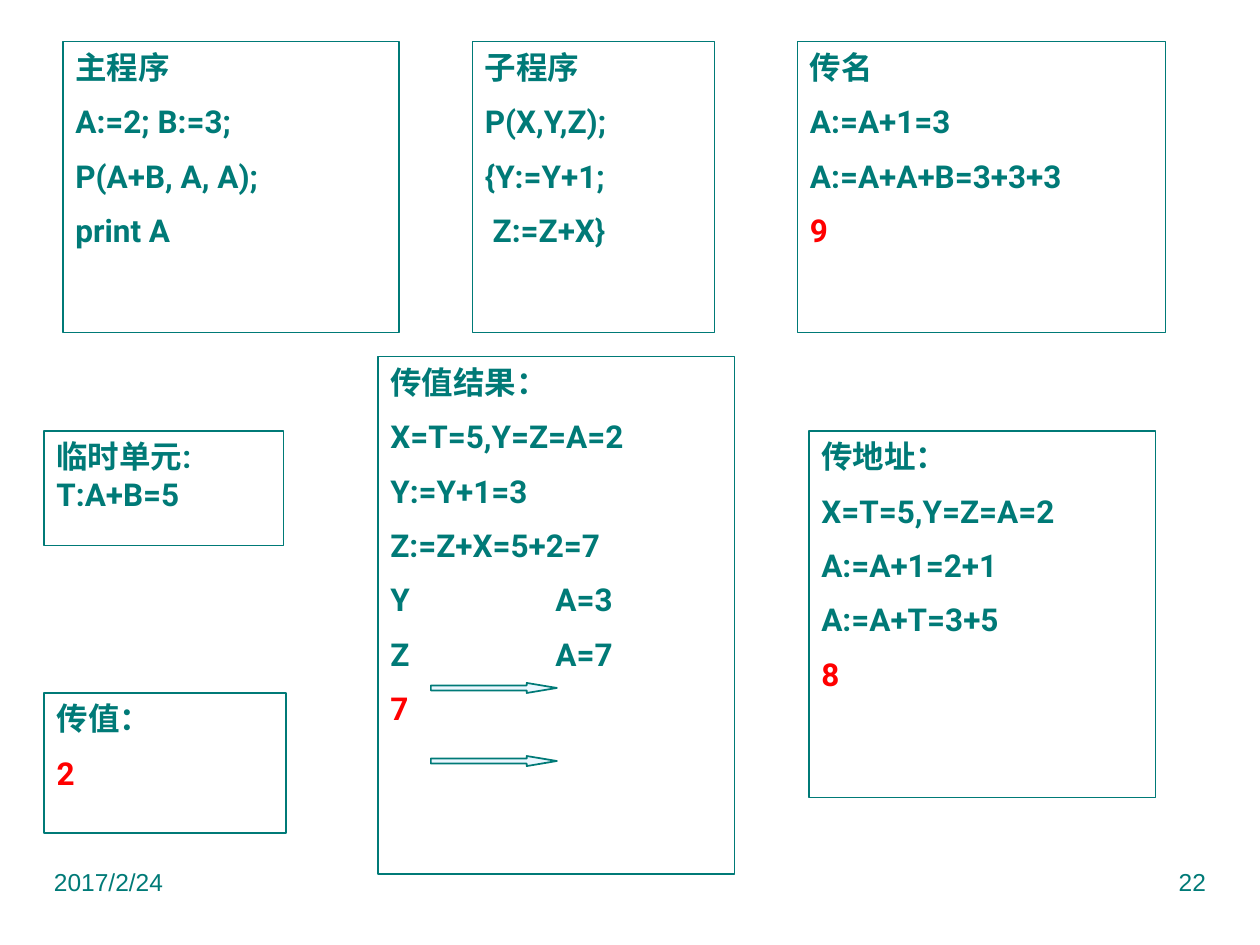
from dataclasses import dataclass

from lxml.etree import SubElement
from pptx import Presentation
from pptx.dml.color import RGBColor
from pptx.enum.shapes import MSO_SHAPE
from pptx.enum.text import MSO_ANCHOR, PP_ALIGN
from pptx.oxml.ns import qn
from pptx.util import Inches, Pt

TEAL = "007A77"
RED = "FF0000"
PALE = "EBF7FF"
TAB_STOP = Inches(1.31)


@dataclass
class Panel:
    """A framed block of code lines with an optional printed result in red."""
    left: float
    top: float
    width: float
    height: float
    lines: list[str]
    result: str = ""


PANELS = [
    Panel(3.75, 0.33, 1.92, 2.31, ["子程序", "P(X,Y,Z);", "{Y:=Y+1;", " Z:=Z+X}"]),
    Panel(0.35, 5.5, 1.92, 1.11, ["传值："], "2"),
    Panel(6.42, 3.42, 2.75, 2.91,
          ["传地址：", "X=T=5,Y=Z=A=2", "A:=A+1=2+1", "A:=A+T=3+5"], "8"),
    Panel(3, 2.83, 2.83, 4.11,
          ["传值结果：", "X=T=5,Y=Z=A=2", "Y:=Y+1=3", "Z:=Z+X=5+2=7",
           "Y\tA=3", "Z\tA=7"], "7"),
    Panel(6.33, 0.33, 2.92, 2.31, ["传名", "A:=A+1=3", "A:=A+A+B=3+3+3"], "9"),
    Panel(0.5, 0.33, 2.67, 2.31,
          ["主程序", "A:=2; B:=3;", "P(A+B, A, A);", "print A"]),
    Panel(0.35, 3.42, 1.9, 0.91, ["临时单元: T:A+B=5"]),
]


def rgb(value: str) -> RGBColor:
    """Turn a hex string into a colour."""
    return RGBColor.from_string(value)


def style(p, name: str, size: int, color: str, bold: bool = False) -> None:
    """Set the font of a paragraph."""
    font = p.font
    font.name, font.size, font.bold = name, Pt(size), bold
    font.color.rgb = rgb(color)


def add_outlined(s, kind, left: float, top: float, width: float, height: float):
    """Add a preset shape with a thin teal outline and no shadow."""
    sp = s.shapes.add_shape(kind, Inches(left), Inches(top),
                            Inches(width), Inches(height))
    sp.shadow.inherit = False
    sp.line.color.rgb = rgb(TEAL)
    sp.line.width = Pt(1)
    return sp


def add_tab_stop(p) -> None:
    """Give a paragraph its left tab stop."""
    tabs = SubElement(p._p.get_or_add_pPr(), qn("a:tabLst"))
    SubElement(tabs, qn("a:tab"), pos=str(TAB_STOP), algn="l")


def add_panel(s, panel: Panel) -> None:
    """Draw a framed panel and its lines."""
    sp = add_outlined(s, MSO_SHAPE.RECTANGLE, panel.left, panel.top,
                      panel.width, panel.height)
    sp.fill.background()
    tf = sp.text_frame
    tf.word_wrap = True
    tf.vertical_anchor = MSO_ANCHOR.TOP
    rows = [(line, TEAL) for line in panel.lines]
    if panel.result:
        rows.append((panel.result, RED))
    for i, (text, color) in enumerate(rows):
        p = tf.add_paragraph() if i else tf.paragraphs[0]
        p.add_run().text = text
        p.alignment = PP_ALIGN.LEFT
        if i:
            p.space_before = Pt(9.5)
        if "\t" in text:
            add_tab_stop(p)
        style(p, "Roboto", 18, color, bold=True)


def add_arrow(s, top: float) -> None:
    """Draw a slim block arrow to the right."""
    sp = add_outlined(s, MSO_SHAPE.RIGHT_ARROW, 3.42, top, 1, 0.08)
    sp.fill.solid()
    sp.fill.fore_color.rgb = rgb(PALE)
    sp.adjustments[0] = 0.5
    sp.adjustments[1] = 3


def add_footer(s, left: float, text: str, align: PP_ALIGN) -> None:
    """Write one footer text."""
    tf = s.shapes.add_textbox(Inches(left), Inches(6.83),
                              Inches(2.5), Inches(0.52)).text_frame
    tf.word_wrap = True
    p = tf.paragraphs[0]
    p.text = text
    p.alignment = align
    style(p, "Arial", 14, TEAL)


def main() -> None:
    """Build and save the slide."""
    prs = Presentation()
    prs.slide_width, prs.slide_height = Inches(10), Inches(7.5)
    s = prs.slides.add_slide(prs.slide_layouts[6])
    add_footer(s, 0.33, "2017/2/24", PP_ALIGN.LEFT)
    add_footer(s, 7.17, "22", PP_ALIGN.RIGHT)
    for panel in PANELS:
        add_panel(s, panel)
    for top in (6, 5.42):
        add_arrow(s, top)
    prs.save("out.pptx")


if __name__ == "__main__":
    main()
